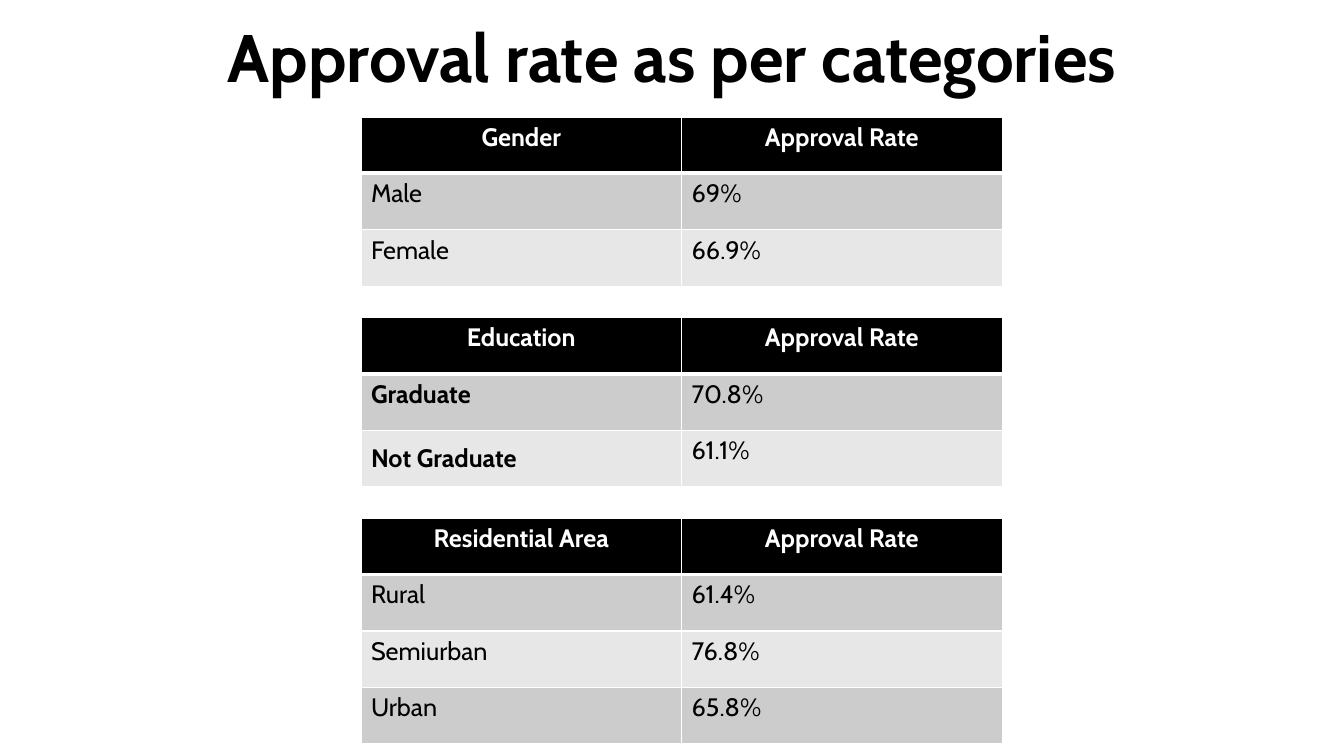
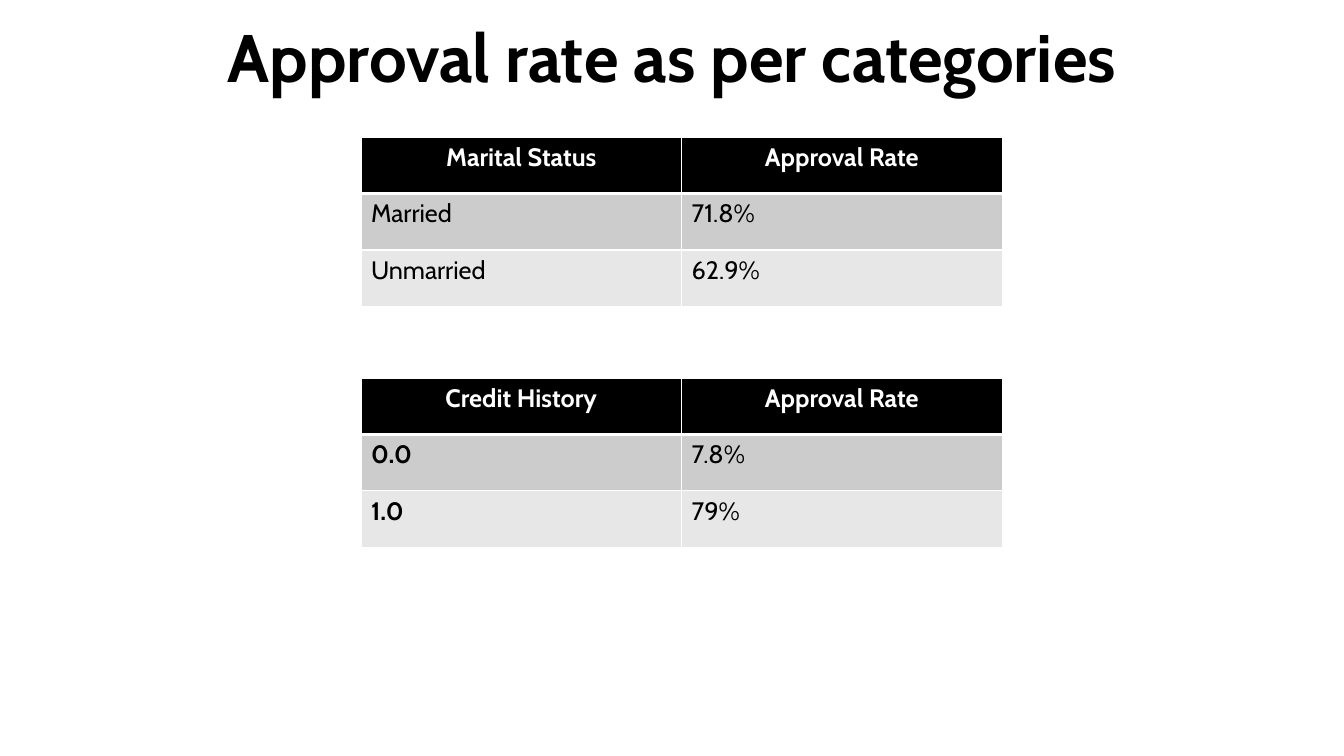
from dataclasses import dataclass

from lxml.etree import SubElement
from pptx import Presentation
from pptx.dml.color import RGBColor as RGB
from pptx.enum.text import MSO_ANCHOR as ANCHOR, MSO_AUTO_SIZE as AUTO, PP_ALIGN as ALIGN
from pptx.oxml.ns import qn
from pptx.util import Pt

TITLE = "Approval rate as per categories"
RATE = "Approval Rate"

SLIDES = [
    {"top": 116, "gap": 31, "tables": [
        {"category": "Gender", "rows": [("Male", "69%"), ("Female", "66.9%")]},
        {"category": "Education", "bold": True, "middle": ["Not Graduate"],
         "rows": [("Graduate", "70.8%"), ("Not Graduate", "61.1%")]},
        {"category": "Residential Area",
         "rows": [("Rural", "61.4%"), ("Semiurban", "76.8%"), ("Urban", "65.8%")]},
    ]},
    {"top": 136, "gap": 71, "tables": [
        {"category": "Marital Status", "rows": [("Married", "71.8%"), ("Unmarried", "62.9%")]},
        {"category": "Credit History", "bold": True, "rows": [("0.0", "7.8%"), ("1.0", "79%")]},
    ]},
]


@dataclass(frozen=True)
class Theme:
    font: str = "Cabin"
    ink: str = "000000"
    paper: str = "FFFFFF"
    bands: tuple = ("CCCCCC", "E7E7E7")
    title_size: int = 48
    cell_size: int = 18
    rule: int = 1
    header_rule: int = 3


THEME = Theme()
SLIDE_W, SLIDE_H = 1333, 750
TITLE_BOX = (0, 10, SLIDE_W, 91)
TABLE_X, COL_W, ROW_H = 358, 318, 56


def px(n):
    return n * 9144


def write(tf, text, size=THEME.cell_size, color=THEME.ink, bold=False, align=ALIGN.LEFT):
    p = tf.paragraphs[0]
    p.alignment = align
    r = p.add_run()
    r.text = text
    r.font.name = THEME.font
    r.font.size = Pt(size)
    r.font.bold = bold
    r.font.color.rgb = RGB.from_string(color)


def style_cell(cell, fill, top, bottom):
    tcPr = cell._tc.get_or_add_tcPr()
    for side, width in zip("LRTB", (THEME.rule, THEME.rule, top, bottom)):
        ln = SubElement(tcPr, qn(f"a:ln{side}"), w=str(Pt(width)))
        SubElement(SubElement(ln, qn("a:solidFill")), qn("a:srgbClr"), val=THEME.paper)
    cell.fill.solid()
    cell.fill.fore_color.rgb = RGB.from_string(fill)


def add_title(s):
    sp = s.shapes.title
    sp.left, sp.top, sp.width, sp.height = map(px, TITLE_BOX)
    tf = sp.text_frame
    tf.word_wrap = True
    tf.auto_size = AUTO.SHAPE_TO_FIT_TEXT
    tf.vertical_anchor = ANCHOR.TOP
    write(tf, TITLE, size=THEME.title_size, bold=True, align=ALIGN.CENTER)


def add_rate_table(s, top, category, rows, bold=False, middle=()):
    lines = [(category, RATE), *rows]
    height = len(lines) * ROW_H
    table = s.shapes.add_table(len(lines), 2, px(TABLE_X), px(top),
                               px(2 * COL_W), px(height)).table
    for i, line in enumerate(lines):
        header = i == 0
        fill = THEME.ink if header else THEME.bands[(i - 1) % 2]
        above = THEME.header_rule if i == 1 else THEME.rule
        below = THEME.header_rule if header else THEME.rule
        for j, text in enumerate(line):
            cell = table.cell(i, j)
            style_cell(cell, fill, above, below)
            if text in middle:
                cell.vertical_anchor = ANCHOR.MIDDLE
            write(cell.text_frame, text,
                  color=THEME.paper if header else THEME.ink,
                  bold=header or (bold and j == 0),
                  align=ALIGN.CENTER if header else ALIGN.LEFT)
    return top + height


def main():
    prs = Presentation()
    prs.slide_width, prs.slide_height = px(SLIDE_W), px(SLIDE_H)
    for content in SLIDES:
        s = prs.slides.add_slide(prs.slide_layouts[5])
        add_title(s)
        top = content["top"]
        for table in content["tables"]:
            top = add_rate_table(s, top, **table) + content["gap"]
    prs.save("out.pptx")


if __name__ == "__main__":
    main()
